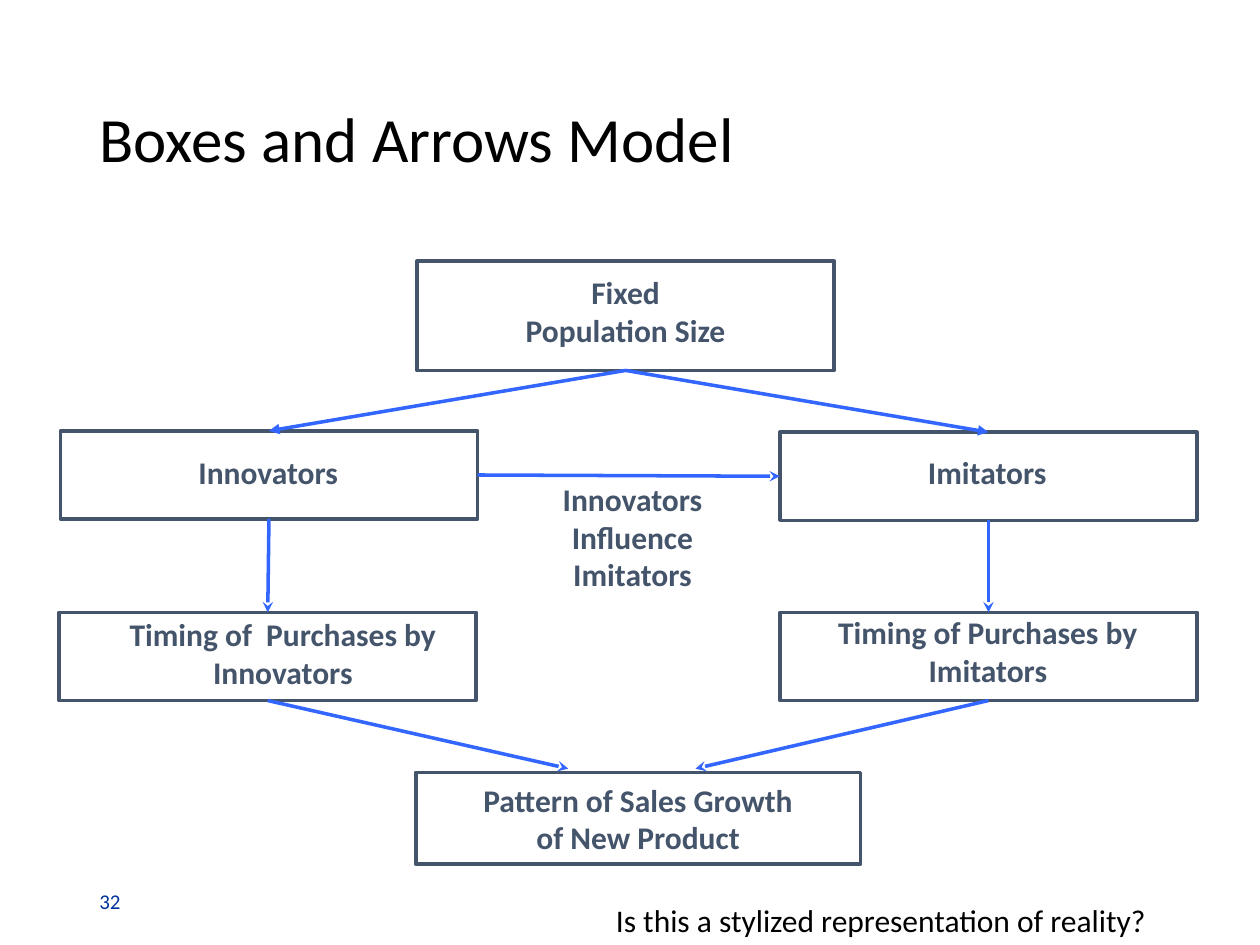
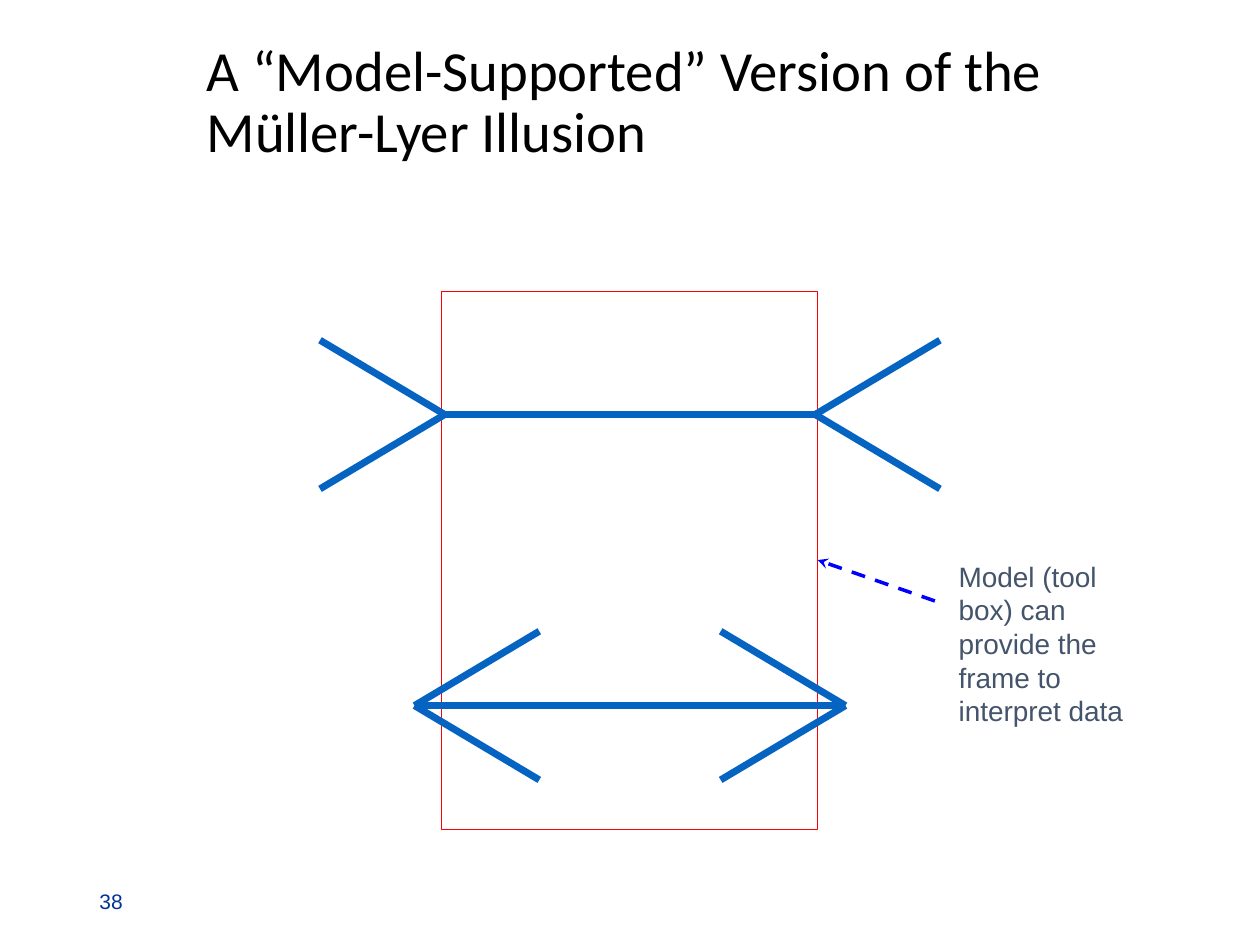
from dataclasses import dataclass
from typing import Any, Optional

import lxml.etree
import pptx
import pptx.dml.color
import pptx.enum.dml
import pptx.enum.shapes
import pptx.enum.text
import pptx.oxml.ns
import pptx.util

RGB = pptx.dml.color.RGBColor
ALIGN = pptx.enum.text.PP_ALIGN
ANCHOR = pptx.enum.text.MSO_ANCHOR
AUTO_SIZE = pptx.enum.text.MSO_AUTO_SIZE
RECTANGLE = pptx.enum.shapes.MSO_SHAPE.RECTANGLE
STRAIGHT = pptx.enum.shapes.MSO_CONNECTOR.STRAIGHT
DASH = pptx.enum.dml.MSO_LINE.DASH

BLACK = RGB(0x00, 0x00, 0x00)
WHITE = RGB(0xFF, 0xFF, 0xFF)
SLATE = RGB(0x44, 0x54, 0x6A)
ARROW_BLUE = RGB(0x33, 0x66, 0xFF)
FIGURE_BLUE = RGB(0x05, 0x63, 0xC1)
POINTER_BLUE = RGB(0x00, 0x00, 0xFF)
NUMBER_BLUE = RGB(0x00, 0x33, 0x99)
FRAME_RED = RGB(0xFF, 0x00, 0x00)

EMU_PER_PX = 9144
TOP, LEFT, BOTTOM, RIGHT = range(4)


@dataclass(frozen=True)
class Area:
    left: int
    top: int
    width: int
    height: int


@dataclass(frozen=True)
class Style:
    size: float
    color: RGB
    font: str = "Calibri"
    bold: bool = False
    align: Any = ALIGN.LEFT
    anchor: Any = ANCHOR.TOP
    spacing: float = 1.0
    auto_size: Any = AUTO_SIZE.SHAPE_TO_FIT_TEXT


@dataclass(frozen=True)
class Stroke:
    color: RGB
    width: float
    arrow: Optional[str] = None
    dash: Any = None


@dataclass(frozen=True)
class Label:
    area: Area
    lines: tuple[str, ...]


@dataclass(frozen=True)
class Link:
    start: str
    start_side: int
    end: str
    end_side: int
    arrow: str


LABEL_STYLE = Style(18, SLATE, bold=True, align=ALIGN.CENTER)
BOX_STROKE = Stroke(SLATE, 2)
FIGURE_STROKE = Stroke(FIGURE_BLUE, 4)
BOX_WIDTH, BOX_HEIGHT = 331, 70

BOXES = {
    "population": Area(331, 207, BOX_WIDTH, 87),
    "imitator timing": Area(619, 486, BOX_WIDTH, BOX_HEIGHT),
    "imitators": Area(619, 343, BOX_WIDTH, BOX_HEIGHT),
    "innovators": Area(48, 342, BOX_WIDTH, BOX_HEIGHT),
    "innovator timing": Area(47, 486, BOX_WIDTH, BOX_HEIGHT),
}

LABELS = [
    Label(Area(357, 212, 279, 70), ("Fixed", "Population Size")),
    Label(Area(718, 355, 131, 40), ("Imitators",)),
    Label(Area(62, 483, 325, 70), ("Timing of  Purchases by", "Innovators")),
    Label(Area(613, 482, 342, 70), ("Timing of Purchases by", "Imitators")),
    Label(Area(427, 376, 150, 100), ("Innovators", "Influence", "Imitators")),
    Label(Area(138, 355, 150, 40), ("Innovators",)),
]

LINKS = [
    Link("population", BOTTOM, "innovators", TOP, "triangle"),
    Link("population", BOTTOM, "imitators", TOP, "triangle"),
    Link("innovators", RIGHT, "imitators", LEFT, "stealth"),
    Link("innovators", BOTTOM, "innovator timing", TOP, "stealth"),
    Link("imitators", BOTTOM, "imitator timing", TOP, "stealth"),
]

SALES = Label(Area(330, 613, 353, 73), ("Pattern of Sales Growth", "of New Product"))
SALES_ARROW_ENDS = {"innovator timing": (451, 610), "imitator timing": (552, 610)}


def px(length: int) -> pptx.util.Emu:
    return pptx.util.Emu(length * EMU_PER_PX)


def place(area: Area) -> tuple[pptx.util.Emu, ...]:
    return px(area.left), px(area.top), px(area.width), px(area.height)


def set_values(target: Any, values: dict[str, Any]) -> None:
    for name, value in values.items():
        setattr(target, name, value)


def write(shape: Any, lines: tuple[str, ...], style: Style) -> None:
    frame = shape.text_frame
    set_values(frame, {
        "word_wrap": True,
        "auto_size": style.auto_size,
        "vertical_anchor": style.anchor,
    })
    for index, line in enumerate(lines):
        para = frame.add_paragraph() if index else frame.paragraphs[0]
        set_values(para, {"alignment": style.align, "line_spacing": style.spacing})
        span = para.add_run()
        span.text = line
        set_values(span.font, {
            "name": style.font,
            "size": pptx.util.Pt(style.size),
            "bold": style.bold,
        })
        span.font.color.rgb = style.color


def draw_text(page: Any, label: Label, style: Style) -> None:
    write(page.shapes.add_textbox(*place(label.area)), label.lines, style)


def apply_stroke(shape: Any, stroke: Stroke) -> None:
    shape.line.color.rgb = stroke.color
    shape.line.width = pptx.util.Pt(stroke.width)
    if stroke.dash:
        shape.line.dash_style = stroke.dash


def draw_box(page: Any, area: Area, stroke: Stroke, fill: Optional[RGB] = None) -> Any:
    box = page.shapes.add_shape(RECTANGLE, *place(area))
    box.shadow.inherit = False
    if fill is None:
        box.fill.background()
    else:
        box.fill.solid()
        box.fill.fore_color.rgb = fill
    apply_stroke(box, stroke)
    return box


def draw_line(shapes: Any, start: tuple[int, int], end: tuple[int, int], stroke: Stroke) -> Any:
    line = shapes.add_connector(STRAIGHT, *map(px, start + end))
    apply_stroke(line, stroke)
    qn = pptx.oxml.ns.qn
    properties = line.element.spPr
    if stroke.arrow:
        outline = properties.find(qn("a:ln"))
        lxml.etree.SubElement(outline, qn("a:tailEnd")).set("type", stroke.arrow)
    lxml.etree.SubElement(properties, qn("a:effectLst"))
    return line


def add_page(deck: Any, title: str, area: Area, size: float, number: str, number_font: str) -> Any:
    page = deck.slides.add_slide(deck.slide_layouts[5])
    heading = page.shapes.title
    set_values(heading, dict(zip(("left", "top", "width", "height"), place(area))))
    write(heading, (title,), Style(
        size, BLACK, anchor=ANCHOR.MIDDLE, spacing=0.9, auto_size=AUTO_SIZE.NONE))
    draw_text(page, Label(Area(69, 695, 225, 40), (number,)), Style(
        12, NUMBER_BLUE, number_font, anchor=ANCHOR.MIDDLE, auto_size=AUTO_SIZE.NONE))
    return page


def add_model_page(deck: Any) -> None:
    page = add_page(deck, "Boxes and Arrows Model", Area(69, 40, 862, 145), 36, "32", "Calibri")
    boxes = {name: draw_box(page, area, BOX_STROKE, WHITE) for name, area in BOXES.items()}
    for label in LABELS:
        draw_text(page, label, LABEL_STYLE)
    sales_box = draw_box(page, SALES.area, BOX_STROKE)
    write(sales_box, SALES.lines, Style(
        18, SLATE, bold=True, align=ALIGN.CENTER, anchor=ANCHOR.MIDDLE))
    for link in LINKS:
        arrow = draw_line(page.shapes, (0, 0), (0, 0), Stroke(ARROW_BLUE, 2, link.arrow))
        arrow.begin_connect(boxes[link.start], link.start_side)
        arrow.end_connect(boxes[link.end], link.end_side)
    for name, end in SALES_ARROW_ENDS.items():
        arrow = draw_line(page.shapes, (0, 0), end, Stroke(ARROW_BLUE, 2, "stealth"))
        arrow.begin_connect(boxes[name], BOTTOM)
    question = Label(Area(479, 710, 479, 40), ("Is this a stylized representation of reality?",))
    draw_text(page, question, Style(18, BLACK))


def draw_illusion(page: Any, left: int, right: int, y: int, inward: int) -> None:
    figure = page.shapes.add_group_shape()
    for tip, reach in ((left, inward), (right, -inward)):
        for rise in (-59, 59):
            draw_line(figure.shapes, (tip, y), (tip + reach, y + rise), FIGURE_STROKE)
    draw_line(figure.shapes, (left, y), (right, y), FIGURE_STROKE)


def add_illusion_page(deck: Any) -> None:
    page = add_page(deck, "A “Model-Supported” Version of the Müller-Lyer Illusion",
                    Area(154, 33, 757, 98), 32.4, "38", "Arial")
    frame = draw_box(page, Area(350, 231, 299, 427), Stroke(FRAME_RED, 0.5))
    draw_illusion(page, 329, 671, 560, 99)
    draw_illusion(page, 353, 647, 329, -99)
    pointer = draw_line(page.shapes, (742, 477), (652, 438),
                        Stroke(POINTER_BLUE, 2, "stealth", DASH))
    pointer.end_connect(frame, RIGHT)
    remark = Label(Area(751, 439, 166, 145),
                   ("Model (tool box) can provide the frame to interpret data",))
    draw_text(page, remark, Style(16, SLATE, "Arial"))


def main() -> None:
    deck = pptx.Presentation()
    set_values(deck, {"slide_width": px(1000), "slide_height": px(750)})
    add_model_page(deck)
    add_illusion_page(deck)
    deck.save("out.pptx")


if __name__ == "__main__":
    main()
